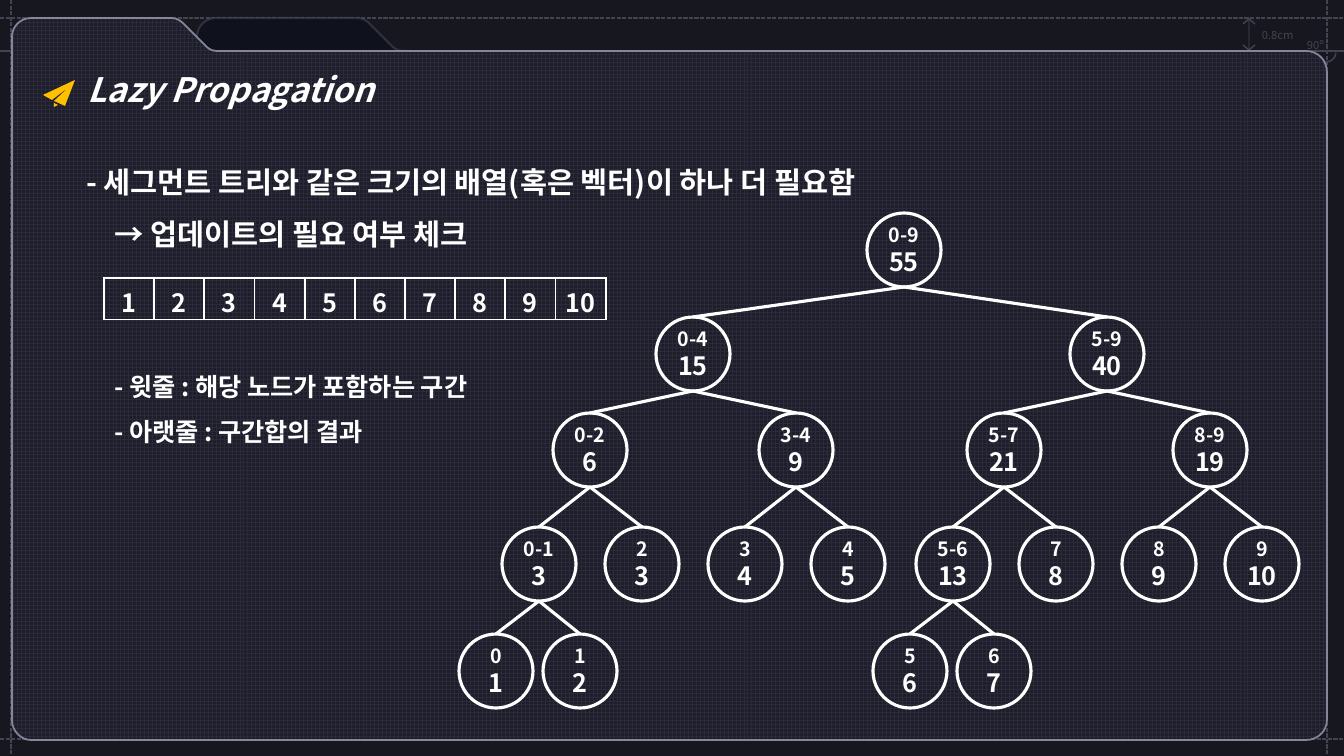
from lxml import etree
from pptx import Presentation
from pptx.dml.color import RGBColor
from pptx.enum.dml import MSO_LINE, MSO_PATTERN
from pptx.enum.shapes import MSO_CONNECTOR, MSO_SHAPE
from pptx.enum.text import MSO_ANCHOR, MSO_AUTO_SIZE, PP_ALIGN
from pptx.oxml.ns import qn
from pptx.util import Emu, Pt

STRAIGHT = MSO_CONNECTOR.STRAIGHT
ELLIPSE, ARC = MSO_SHAPE.OVAL, MSO_SHAPE.ARC
DASHED, GRID = MSO_LINE.SQUARE_DOT, MSO_PATTERN.LARGE_GRID
LEFT, CENTER = PP_ALIGN.LEFT, PP_ALIGN.CENTER
TOP, MIDDLE = MSO_ANCHOR.TOP, MSO_ANCHOR.MIDDLE
NO_FIT = MSO_AUTO_SIZE.NONE

FONT = "Noto Sans CJK KR"
COLORS = {
    "back": "17171F", "guide": "424452", "tab": "0F111D", "tab_edge": "4D505F",
    "grid": "2A2A3A", "panel": "1E1E2A", "panel_edge": "84879C",
    "white": "FFFFFF", "plane": "FFC000",
}
NUMBERS = list(range(1, 11))

# Segment tree: circle size, top of each level, child offsets below each level
NODE = 74
LEVEL_TOPS = [213, 317, 413, 527, 634]
CHILD_OFFSETS = [(-211, 203), (-103, 103), (-51, 52), (-43, 41)]


def px(length):
    return Emu(round(length * 914400 / 100.8))


def color(name):
    return RGBColor.from_string(COLORS[name])


def curve(start, *controls):
    """Points along a cubic curve, after its start."""
    a, b, c, d = start, *controls
    steps = [i / 8 for i in range(1, 9)]
    return [tuple((1 - t) ** 3 * p + 3 * t * (1 - t) ** 2 * q + 3 * t * t * (1 - t) * r + t ** 3 * s
                  for p, q, r, s in zip(a, b, c, d)) for t in steps]


def folder_tab(left, slope):
    """Top edge of a folder tab, from its left side to the foot of its slope."""
    return [(left, 37), *curve((left, 37), (left, 27), (left + 8, 18), (left + 19, 18)),
            (slope, 18), *curve((slope, 18), (slope + 5, 18), (slope + 9, 20), (slope + 13, 24)),
            (slope + 36, 47),
            *curve((slope + 36, 47), (slope + 39, 50), (slope + 43, 51), (slope + 47, 51))]


class SlideBuilder:
    def __init__(self, slide):
        self.slide = slide
        self.shapes = slide.shapes
        slide.background.fill.solid()
        slide.background.fill.fore_color.rgb = color("back")

    def stroke(self, line, name, width, alpha=None, dash=None):
        line.color.rgb = color(name)
        line.width = Pt(width)
        if dash:
            line.dash_style = dash
        if alpha:
            tint = line.fill._xPr.find(".//" + qn("a:srgbClr"))
            etree.SubElement(tint, qn("a:alpha"), val=str(alpha * 1000))

    def line(self, start, end, name, width, **look):
        link = self.shapes.add_connector(STRAIGHT, *map(px, (*start, *end)))
        self.stroke(link.line, name, width, **look)
        etree.SubElement(link.element.spPr, qn("a:effectLst"))
        return link

    def outline(self, *contours, closed=True):
        first, *rest = [[tuple(map(px, point)) for point in contour] for contour in contours]
        builder = self.shapes.build_freeform(*first[0])
        builder.add_line_segments(first[1:], close=closed)
        for contour in rest:
            builder.move_to(*contour[0])
            builder.add_line_segments(contour[1:], close=closed)
        shape = builder.convert_to_shape()
        shape.shadow.inherit = False
        shape.fill.background()
        return shape

    def preset(self, kind, box, name, width):
        shape = self.shapes.add_shape(kind, *map(px, box))
        shape.shadow.inherit = False
        shape.fill.background()
        self.stroke(shape.line, name, width)
        return shape

    def set_text(self, frame, lines, sizes, name="white", align=LEFT, anchor=TOP, wrap=True,
                 spacing=None, indents=(), **font_format):
        for key, value in {"word_wrap": wrap, "auto_size": NO_FIT, "vertical_anchor": anchor}.items():
            setattr(frame, key, value)
        for i, text in enumerate(lines):
            paragraph = frame.paragraphs[0] if i == 0 else frame.add_paragraph()
            for key, value in {"alignment": align, "line_spacing": spacing, "space_before": Pt(0)}.items():
                setattr(paragraph, key, value)
            props = paragraph._p.get_or_add_pPr()
            props.set("marL", str(px(indents[i]) if indents else 0))
            props.set("indent", "0")
            etree.SubElement(props, qn("a:buNone"))
            self.add_run(paragraph, text, sizes[i % len(sizes)], name, **font_format)

    def add_run(self, paragraph, text, size, name="white", **font_format):
        run = paragraph.add_run()
        run.text = text
        for key, value in {"name": FONT, "size": Pt(size), **font_format}.items():
            setattr(run.font, key, value)
        run.font.color.rgb = color(name)
        etree.SubElement(run.font._element, qn("a:ea"), typeface=FONT)

    def label(self, box, text):
        note = self.shapes.add_textbox(*map(px, box))
        self.set_text(note.text_frame, [text], [8], "guide", wrap=False)

    def placeholder(self, index, box, lines, size, **look):
        holder = self.slide.placeholders[index]
        for key, value in zip(("left", "top", "width", "height"), box):
            setattr(holder, key, px(value))
        self.shapes.element.append(holder.element)  # bring in front of the panel
        self.set_text(holder.text_frame, lines, [size], bold=True, **look)

    def number_row(self, box, numbers):
        table = self.shapes.add_table(1, len(numbers), *map(px, box)).table
        table.first_row = table.horz_banding = False
        for cell, number in zip(table.iter_cells(), numbers):
            cell.fill.background()
            for key, value in {"margin_top": px(5), "margin_bottom": 0}.items():
                setattr(cell, key, value)
            paragraph = cell.text_frame.paragraphs[0]
            paragraph.alignment = CENTER
            self.add_run(paragraph, str(number), 18, bold=True)
            for i, side in enumerate(("lnL", "lnR", "lnT", "lnB")):
                border = etree.Element(qn("a:" + side), w=str(Pt(1.5)))
                fill = etree.SubElement(border, qn("a:solidFill"))
                etree.SubElement(fill, qn("a:srgbClr"), val=COLORS["white"])
                cell._tc.get_or_add_tcPr().insert(i, border)

    def tree(self, low, high, center, level=0):
        """Draw the node for an interval with all its children."""
        top = LEVEL_TOPS[level]
        node = self.preset(ELLIPSE, (center - NODE // 2, top, NODE, NODE), "white", 2.25)
        interval = f"{low}-{high}" if low < high else str(low)
        total = sum(NUMBERS[low:high + 1])
        self.set_text(node.text_frame, [interval, str(total)], [14, 18],
                      align=CENTER, anchor=MIDDLE, wrap=False, bold=True)
        if low < high:
            middle = (low + high) // 2
            halves = (low, middle), (middle + 1, high)
            for half, offset in zip(halves, CHILD_OFFSETS[level]):
                child = self.tree(*half, center + offset, level + 1)
                link = self.line((center, top + NODE), (center + offset, LEVEL_TOPS[level + 1]),
                                 "white", 2.25)
                # site 4 is the bottom of an ellipse
                etree.SubElement(link.element.nvCxnSpPr.cNvCxnSpPr, qn("a:stCxn"),
                                 id=str(node.shape_id), idx="4")
                link.end_connect(child, 0)
        return node


def main():
    deck = Presentation()
    deck.slide_width, deck.slide_height = px(1344), px(756)
    page = SlideBuilder(deck.slides.add_slide(deck.slide_layouts[3]))

    # Guides and the folder tab behind
    for start, end in [((0, 18), (1344, 18)), ((11, 0), (11, 756)),
                       ((1327, 0), (1327, 756)), ((0, 739), (1344, 739))]:
        page.line(start, end, "guide", 1, dash=DASHED)
    back_tab = page.outline(folder_tab(197, 357) + [(411, 51), (411, 78), (197, 78)])
    back_tab.fill.solid()
    back_tab.fill.fore_color.rgb = color("tab")
    page.stroke(back_tab.line, "tab_edge", 1.5, alpha=48)
    page.line((0, 51), (1344, 51), "guide", 1)

    # Measure marks
    page.line((1249, 18), (1249, 50), "guide", 1, alpha=61)
    for tip, base in ((19, 24), (50, 45)):
        arrow = page.outline([(1243, base), (1249, tip), (1255, base)], closed=False)
        page.stroke(arrow.line, "guide", 1)
    page.label((1252, 23, 64, 24), "0.8cm")
    angle = page.preset(ARC, (1317, 43, 19, 19), "guide", 1)
    angle.adjustments[0], angle.adjustments[1] = 1.326, 53.741
    page.label((1297, 33, 39, 24), "90º")

    # Folder panel
    panel = page.outline(
        folder_tab(12, 171) + [(1306, 51)]
        + curve((1306, 51), (1318, 51), (1327, 60), (1327, 72)) + [(1327, 720)]
        + curve((1327, 720), (1327, 731), (1318, 740), (1306, 740)) + [(31, 740)]
        + curve((31, 740), (21, 740), (12, 731), (12, 720)))
    panel.fill.patterned()
    panel.fill.pattern = GRID
    panel.fill.fore_color.rgb, panel.fill.back_color.rgb = color("grid"), color("panel")
    page.stroke(panel.line, "panel_edge", 1.25)

    # Heading with paper plane
    page.placeholder(0, (77, 64, 630, 50), ["Lazy Propagation"], 24, italic=True)
    plane = page.outline([(75, 80), (65, 106), (54, 101), (69, 87), (52, 100), (43, 95)],
                         [(54, 103), (58, 105), (54, 107)])
    plane.fill.solid()
    plane.fill.fore_color.rgb = color("plane")
    plane.line.fill.background()

    # Explanation, array and tree
    page.placeholder(1, (76, 141, 1223, 163),
                     ["- 세그먼트 트리와 같은 크기의 배열(혹은 벡터)이 하나 더 필요함",
                      "→ 업데이트의 필요 여부 체크"], 21, spacing=1.5, indents=(0, 28))
    page.number_row((104, 278, 502, 41), NUMBERS)
    page.tree(0, 9, 904)
    page.placeholder(2, (104, 351, 419, 96),
                     ["- 윗줄 : 해당 노드가 포함하는 구간", "- 아랫줄 : 구간합의 결과"], 18, spacing=1.5)
    deck.save("out.pptx")


if __name__ == "__main__":
    main()
